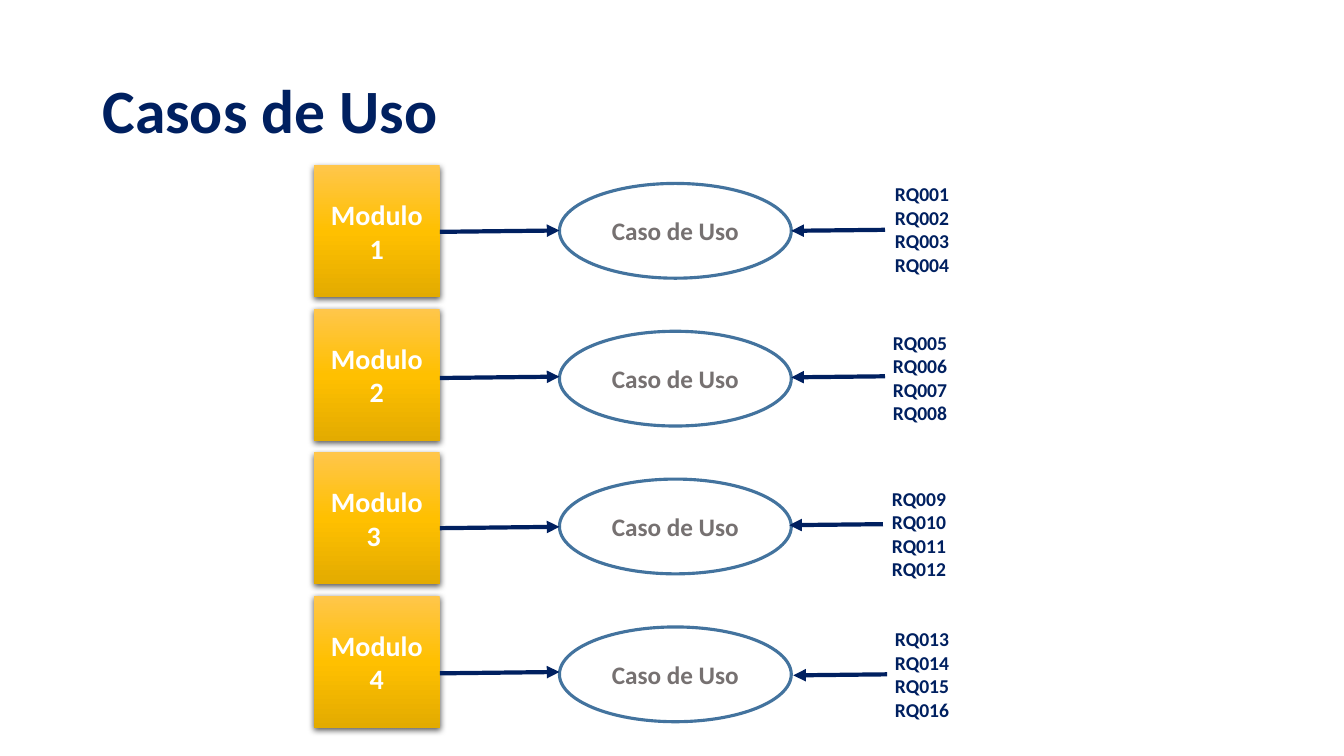
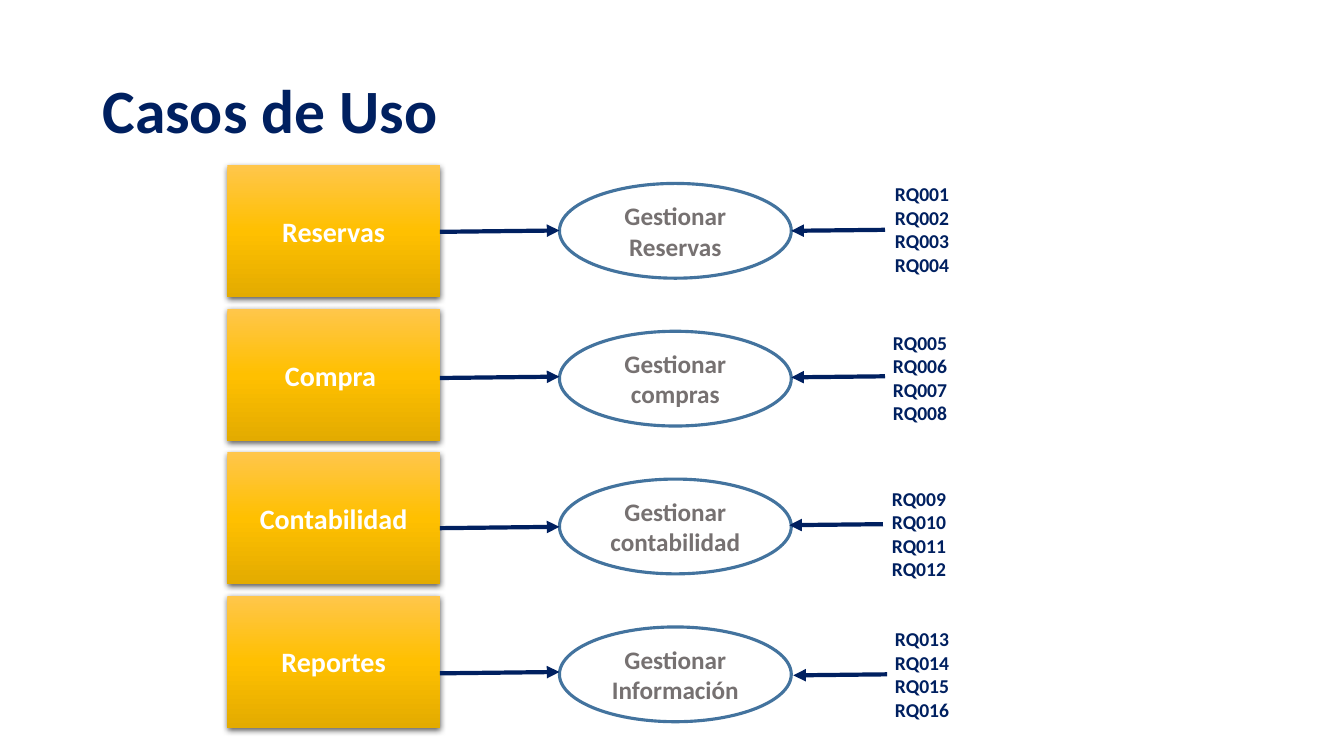
from lxml import etree
from pptx import Presentation, util as u
from pptx.dml.color import RGBColor
from pptx.enum import shapes, text
from pptx.oxml.ns import qn

NAVY = RGBColor(0x00, 0x20, 0x60)
STEEL = RGBColor(0x43, 0x73, 0x9E)
GREY = RGBColor(0x76, 0x71, 0x71)
WHITE = RGBColor(0xFF, 0xFF, 0xFF)
BLACK = RGBColor(0x00, 0x00, 0x00)
AMBER_STOPS = (
    (0, RGBColor(0xFF, 0xC6, 0x4B)),
    (50, RGBColor(0xFF, 0xC0, 0x00)),
    (100, RGBColor(0xE3, 0xAB, 0x00)),
)
FONT = "Calibri"
COLS, ROWS = 40, 22.5  # square grid cells, a third of an inch each

MODULE_RIGHT, MODULE_TOP, MODULE_PITCH, MODULE_H = 13.09, 4.92, 4.27, 3.93
CASE_LEFT, CASE_TOP, CASE_PITCH, CASE_W, CASE_H = 16.65, 5.46, 4.4, 6.9, 2.82
CODES_W, CODES_H, CODES_PER_ROW = 2.25, 3.12, 4
CODES_ARROW_LEN = 2.79
# Per row: module arrow y, codes left and top, codes arrow x and y
ROW_PLACES = (
    (6.9, 26.34, 5.28, 26.34, 6.84),
    (11.25, 26.28, 9.69, 26.34, 11.2),
    (15.72, 26.25, 14.34, 26.28, 15.6),
    (20.04, 26.34, 18.51, 26.4, 20.07),
)


def write(tf, content, size, color, align=text.PP_ALIGN.LEFT,
          anchor=text.MSO_ANCHOR.MIDDLE, wrap=True, spacing=None):
    """Fill a text frame, one paragraph for each line of content."""
    tf.word_wrap = wrap
    tf.vertical_anchor = anchor
    for i, line in enumerate(content.split("\n")):
        p = tf.add_paragraph() if i else tf.paragraphs[0]
        p.alignment = align
        if spacing:
            p.line_spacing = spacing
        r = p.add_run()
        r.text = line
        r.font.name, r.font.size, r.font.bold = FONT, u.Pt(size), True
        r.font.color.rgb = color


def add_color(parent, color):
    return etree.SubElement(parent, qn("a:srgbClr"), val=str(color))


class Deck:
    """Holds the style and the current slide; lengths are grid cells."""

    def __init__(self):
        self.prs = Presentation()
        self.prs.slide_width = u.Inches(13.33)
        self.prs.slide_height = u.Inches(7.5)
        self.s = None

    def grid(self, x, y, *size):
        """Turn column and row numbers into slide lengths."""
        cell_w = self.prs.slide_width / COLS
        cell_h = self.prs.slide_height / ROWS
        return [round(n * (cell_h if i % 2 else cell_w))
                for i, n in enumerate((x, y, *size))]

    def new_slide(self, title):
        self.s = self.prs.slides.add_slide(self.prs.slide_layouts[5])
        sp = self.s.shapes.title
        sp.left, sp.top, sp.width, sp.height = self.grid(2.75, 1.2, 34.5, 4.35)
        sp.text_frame.auto_size = text.MSO_AUTO_SIZE.NONE
        write(sp.text_frame, title, 44, NAVY, spacing=0.9)

    def shape(self, kind, place, label, size, color):
        sp = self.s.shapes.add_shape(kind, *self.grid(*place))
        sp.shadow.inherit = False
        write(sp.text_frame, label, size, color, align=text.PP_ALIGN.CENTER)
        return sp

    def module(self, row, width, label):
        place = (MODULE_RIGHT - width, MODULE_TOP + row * MODULE_PITCH,
                 width, MODULE_H)
        sp = self.shape(shapes.MSO_SHAPE.RECTANGLE, place, label, 20, WHITE)
        sp.line.fill.background()
        sp.fill.gradient()
        sp.fill.gradient_angle = 270
        stops = sp._element.spPr.find(".//" + qn("a:gsLst"))
        for stop in list(stops):
            stops.remove(stop)
        for share, color in AMBER_STOPS:
            add_color(etree.SubElement(stops, qn("a:gs"), pos=str(share * 1000)), color)
        effects = sp._element.spPr.find(qn("a:effectLst"))
        shadow = etree.SubElement(
            effects, qn("a:outerShdw"), blurRad=str(u.Pt(4.5)),
            dist=str(u.Pt(1.5)), dir="5400000", algn="ctr", rotWithShape="0")
        etree.SubElement(add_color(shadow, BLACK), qn("a:alpha"), val="63000")

    def use_case(self, row, label):
        place = (CASE_LEFT, CASE_TOP + row * CASE_PITCH, CASE_W, CASE_H)
        sp = self.shape(shapes.MSO_SHAPE.OVAL, place, label, 18, GREY)
        sp.fill.background()
        sp.line.color.rgb, sp.line.width = STEEL, u.Pt(2.25)

    def codes(self, row, x, y):
        """List the requirement codes that belong to a row."""
        first = row * CODES_PER_ROW + 1
        content = "\n".join(f"RQ{n:03}" for n in range(first, first + CODES_PER_ROW))
        sp = self.s.shapes.add_textbox(*self.grid(x, y, CODES_W, CODES_H))
        sp.text_frame.auto_size = text.MSO_AUTO_SIZE.SHAPE_TO_FIT_TEXT
        write(sp.text_frame, content, 14, NAVY,
              anchor=text.MSO_ANCHOR.TOP, wrap=False)

    def arrow(self, x1, y1, x2, y2):
        line = self.s.shapes.add_connector(
            shapes.MSO_CONNECTOR.STRAIGHT, *self.grid(x1, y1, x2, y2))
        line.line.color.rgb, line.line.width = NAVY, u.Pt(3)
        spPr = line._element.spPr
        etree.SubElement(spPr.find(qn("a:ln")), qn("a:tailEnd"), type="triangle")
        etree.SubElement(spPr, qn("a:effectLst"))

    def use_case_slide(self, title, module_width, rows):
        self.new_slide(title)
        for row, ((module, case), place) in enumerate(zip(rows, ROW_PLACES)):
            module_y, codes_x, codes_y, arrow_x, arrow_y = place
            self.use_case(row, case)
            self.module(row, module_width, module)
            self.codes(row, codes_x, codes_y)
            self.arrow(MODULE_RIGHT, module_y, CASE_LEFT, module_y - 0.04)
            self.arrow(arrow_x, arrow_y, arrow_x - CODES_ARROW_LEN, arrow_y + 0.03)


def main():
    deck = Deck()
    modules = ("Modulo 1", "Modulo 2", "Modulo\n3 ", "Modulo 4")
    deck.use_case_slide("Casos de Uso", 3.75, [(m, "Caso de Uso") for m in modules])
    deck.use_case_slide("Casos de Uso", 6.32, [
        ("Reservas", "Gestionar Reservas"),
        ("Compra ", "Gestionar compras"),
        ("Contabilidad", "Gestionar contabilidad"),
        ("Reportes", "Gestionar Información"),
    ])
    deck.prs.save("out.pptx")


if __name__ == "__main__":
    main()
